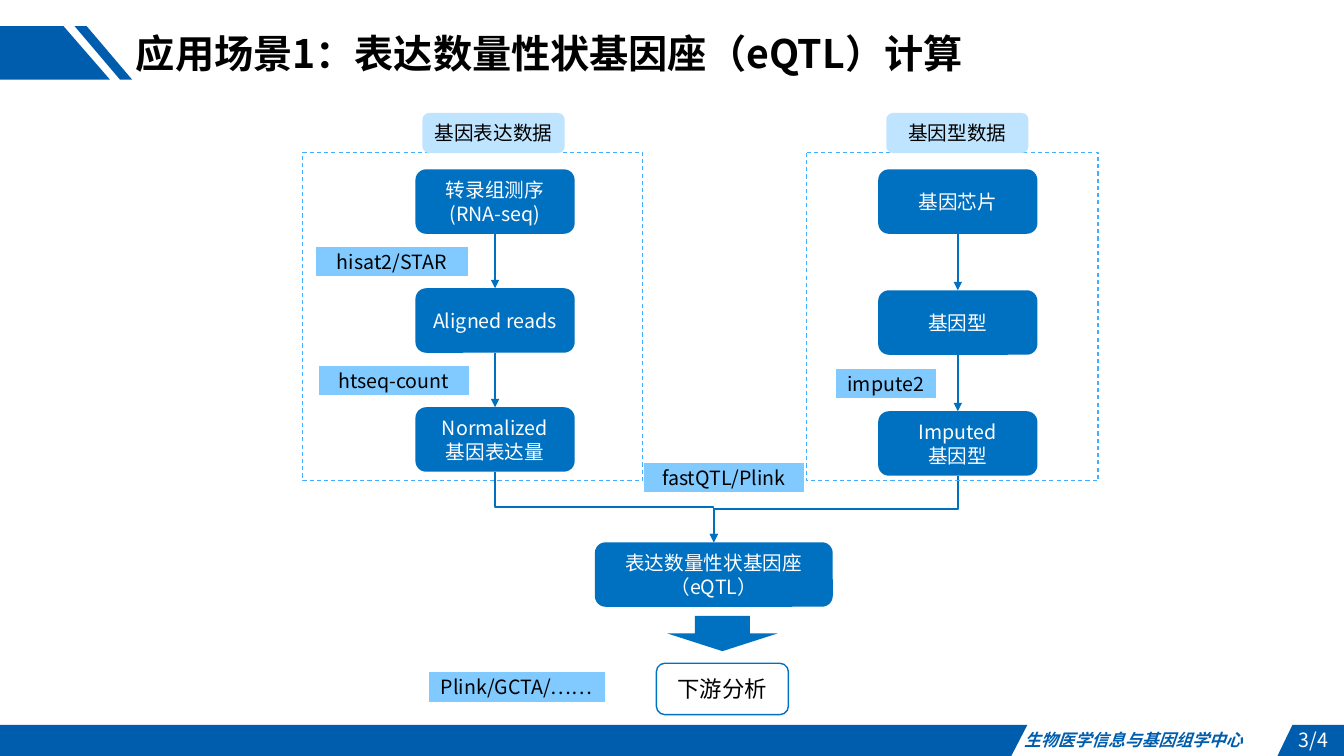
from pptx import Presentation
from pptx.dml.color import RGBColor
from pptx.enum.dml import MSO_LINE as Dash
from pptx.enum.shapes import MSO_CONNECTOR as Conn, MSO_SHAPE as Kind
from pptx.enum.text import MSO_ANCHOR as Anchor, PP_ALIGN as Align
from pptx.oxml.ns import qn
from pptx.util import Inches, Pt
from lxml import etree

# Content
FONT = "Noto Sans CJK SC"
HUES = {"band": "005DAE", "step": "0070C0", "tool": "80CAFF", "head": "BFE4FF",
        "dash": "40AFFF", "white": "FFFFFF", "black": "000000"}
TITLE = "应用场景1：表达数量性状基因座（eQTL）计算"
CENTER = "生物医学信息与基因组学中心"
PAGE = "3/4"
BANDS = [
    [(0, 0.26), (0.63, 0.26), (1.09, 0.79), (0, 0.79)],
    [(0.86, 0.26), (1.31, 0.79), (1.19, 0.79), (0.74, 0.26)],
    [(0, 7.19), (10.19, 7.19), (10.03, 7.5), (0, 7.5)],
    [(12.82, 7.19), (13.33, 7.19), (13.33, 7.5), (12.67, 7.5)],
]
# Each flow: axis x, step pitch, frame left and width, header left, header, steps
FLOWS = [
    (4.91, 1.18, 3.0, 3.37, 4.19, "基因表达数据",
     [["转录组测序", "(RNA-seq)"], ["Aligned reads"], ["Normalized", "基因表达量"]]),
    (9.5, 1.2, 8.0, 2.89, 8.79, "基因型数据",
     [["基因芯片"], ["基因型"], ["Imputed", "基因型"]]),
]
RESULT = ["表达数量性状基因座", "（eQTL）"]
NEXT = "下游分析"
TOOLS = [  # left, top, width, name
    (3.13, 2.45, 1.51, "hisat2/STAR"),
    (3.16, 3.63, 1.49, "htseq-count"),
    (8.29, 3.66, 0.99, "impute2"),
    (6.39, 4.59, 1.58, "fastQTL/Plink"),
    (4.25, 6.67, 1.75, "Plink/GCTA/……"),
]
STEP_W, STEP_H, TOP = 1.58, 0.64, 1.68
MID, END = 7.08, 5.38

deck = Presentation()
deck.slide_width, deck.slide_height = Inches(13.33), Inches(7.5)
slide = deck.slides.add_slide(deck.slide_layouts[6])
shapes = slide.shapes


def color(name):
    return RGBColor.from_string(HUES[name])


def write(shape, lines, size, hue, align, bold=False, italic=False):
    frame = shape.text_frame
    frame.word_wrap = True
    for i, line in enumerate(lines):
        para = frame.paragraphs[0] if i == 0 else frame.add_paragraph()
        para.alignment = align
        run = para.add_run()
        run.text = line
        font = run.font
        font.name, font.size = FONT, Pt(size)
        font.bold, font.italic = bold, italic
        font.color.rgb = color(hue)
        east = etree.SubElement(run._r.get_or_add_rPr(), qn("a:ea"))
        east.set("typeface", FONT)


def paint(shape, fill=None, line=None, width=1):
    shape.shadow.inherit = False
    if fill:
        shape.fill.solid()
        shape.fill.fore_color.rgb = color(fill)
    else:
        shape.fill.background()
    if line:
        shape.line.color.rgb = color(line)
        shape.line.width = Pt(width)
    else:
        shape.line.fill.background()


def box(kind, at, lines=(), fill=None, line=None, hue="black", size=14, width=1):
    shape = shapes.add_shape(kind, *map(Inches, at))
    paint(shape, fill, line, width)
    shape.text_frame.vertical_anchor = Anchor.MIDDLE
    write(shape, lines, size, hue, Align.CENTER)
    return shape


def label(at, text, size, hue, align=Align.LEFT, **style):
    write(shapes.add_textbox(*map(Inches, at)), [text], size, hue, align, **style)


def arrow(x1, y1, x2, y2):
    bent = x1 != x2
    kind = Conn.ELBOW if bent else Conn.STRAIGHT
    link = shapes.add_connector(kind, *map(Inches, (x1, y1, x2, y2)))
    if bent:  # turn the elbow so that it leaves and enters vertically
        wide, high = abs(x2 - x1), y2 - y1
        link.left = Inches((x1 + x2 - high) / 2)
        link.top = Inches((y1 + y2 - wide) / 2)
        link.width, link.height = Inches(high), Inches(wide)
        form = link._element.spPr.find(qn("a:xfrm"))
        for key in ("flipH", "flipV"):
            form.attrib.pop(key, None)
        form.set("rot", str((90 if x2 < x1 else 270) * 60000))
        if x2 > x1:
            form.set("flipH", "1")
    link.line.color.rgb = color("step")
    link.line.width = Pt(1)
    etree.SubElement(link.line._get_or_add_ln(), qn("a:tailEnd"), type="triangle")
    etree.SubElement(link._element.spPr, qn("a:effectLst"))


# Title and footer
for points in BANDS:
    spots = [(Inches(x), Inches(y)) for x, y in points]
    path = shapes.build_freeform(*spots[0])
    path.add_line_segments(spots[1:], close=True)
    paint(path.convert_to_shape(), "band")
label((10.06, 7.19, 2.71, 0.3), CENTER, 12, "band", Align.JUSTIFY,
      bold=True, italic=True)
label((1.25, 0.24, 9.47, 0.57), TITLE, 28, "black", bold=True)
label((12.78, 7.17, 0.55, 0.34), PAGE, 14, "white")

# Two flows that meet in the result
for axis, pitch, left, wide, start, head, steps in FLOWS:
    for i, lines in enumerate(steps):
        top = TOP + i * pitch
        box(Kind.ROUNDED_RECTANGLE, (axis - STEP_W / 2, top, STEP_W, STEP_H),
            lines, "step", hue="white")
        low = top + STEP_H
        if i < len(steps) - 1:
            arrow(axis, low, axis, top + pitch)
        else:
            arrow(axis, low, MID, END)
    frame = box(Kind.FLOWCHART_PROCESS, (left, 1.51, wide, 3.26),
                line="dash", width=0.75)
    frame.line.dash_style = Dash.DASH
    box(Kind.ROUNDED_RECTANGLE, (start, 1.12, 1.41, 0.4), [head], "head")
box(Kind.ROUNDED_RECTANGLE, (MID - 1.18, END, 2.36, STEP_H), RESULT, "step", hue="white")

# Tools
for left, top, wide, name in TOOLS:
    box(Kind.FLOWCHART_PROCESS, (left, top, wide, 0.29), [name], "tool")

# Next stage
box(Kind.DOWN_ARROW, (6.62, 6.11, 1.09, 0.35), fill="step")
box(Kind.ROUNDED_RECTANGLE, (6.51, 6.58, 1.31, 0.51), [NEXT], line="step", size=16)

deck.save("out.pptx")
